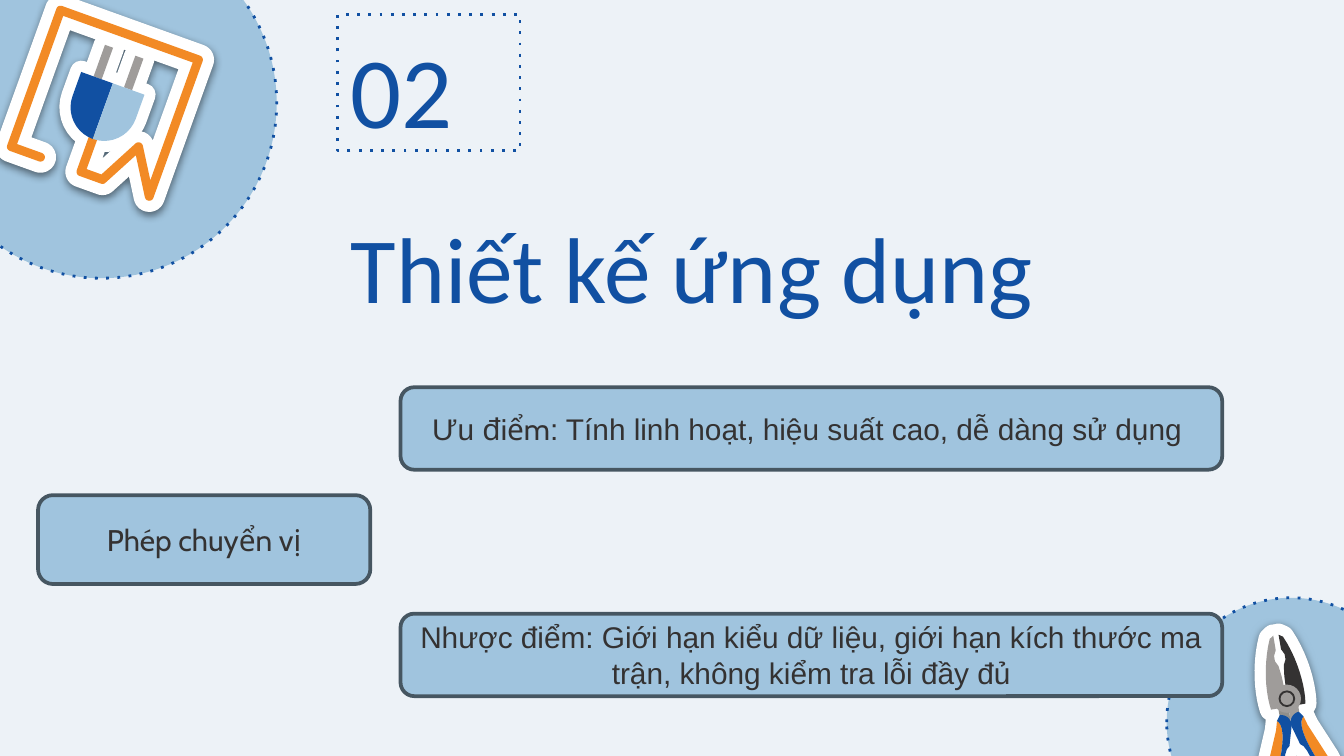
"""Build the section slide on application design with its tool stickers."""
import math

from lxml import etree
from pptx import Presentation, util as u
from pptx.dml.color import RGBColor
from pptx.enum import dml, shapes, text
from pptx.oxml.ns import qn


class Theme:
    back, sky, blue, slate = "EDF2F7", "A0C4DE", "1150A2", "465661"
    ink, white, orange, grey, dim = "343232", "FFFFFF", "F28A25", "9F9C9A", "908F8B"
    head, label, body = "Calibri", "Cabin", "Arial"
    title, number, small = 50, 54, 16
    dots, edge, rim, ring = 1.5, 2, 12, 1


SIZE = (25.4, 14.29)
STEPS = 10
UNIT = 0.0254

TITLE = ("Thiết kế ứng dụng", (6.38, 3.48, 15.14, 2.87))
NUMBER = ("02", (6.38, 0.28, 3.45, 2.57))
DISCS = [(-1.4, -1.37, 6.63, 6.63), (22.05, 11.3, 4.7, 4.7)]
BOXES = [
    ((0.72, 9.36, 6.28, 1.68), [("Phép chuyển vị", Theme.label)]),
    ((7.57, 7.32, 15.53, 1.56), [
        ("Ưu ", Theme.body), ("điểm", Theme.label),
        (": Tính linh hoạt, hiệu suất cao, dễ dàng sử dụng ", Theme.body)]),
    ((7.57, 11.6, 15.53, 1.56), [
        ("Nhược điểm: Giới hạn kiểu dữ liệu, giới hạn kích thước ma trận, "
         "không kiểm tra lỗi đầy đủ", Theme.body)]),
]

PLUG_AT, PLUG_TILT = (84, 62), 19.8
CABLE = [(-32, 70), (-55, 70), (-55, -38), (54, -38), (54, 70),
         (34, 38), (17, 70), (0, 70), (0, 43)]
CABLE_HALF = 3.3
BODY_HALF, BODY_SIDE = 25, 19
PRONG_X, PRONG_HALF, PRONG_TOP = 12, 3.2, -25

TOOL_AT, TOOL_TILT = (957.5, 520), -9.8
JAW = [(2, -48), (5, -46), ((13, -28), (15, -7), (13, 6)), (0, 6),
       (1, -17), (2, -25), (4, -29), (4, -33), (2, -37)]
ARM = [(0, 6), (7.5, 6), (7.5, 19.5), (0, 20)]
GRIP = [(7, 11), (10, 15), ((5, 19), (5, 34), (30, 80)), (25, 84),
        ((20, 85), (16, 83), (15, 78)), ((15, 78), (12, 38), (4, 35)), (0, 21),
        ((-1, 17), (1, 12), (7, 11))]
EDGE = [(10, 15), (12, 22), (23, 48), (30, 73), (30, 80),
        ((5, 34), (5, 19), (10, 15))]
HUB, BOLT = 10.5, 5.5


def cm(vals, unit=1):
    return [u.Cm(v * unit) for v in vals]


def polar(spot, size, angle):
    return spot[0] + size * math.cos(angle), spot[1] + size * math.sin(angle)


def trace(route):
    """Turn a route of points and three-point curves into plain points."""
    dots = []
    for step in route:
        if not isinstance(step[0], tuple):
            dots.append(step)
            continue
        knots = (dots[-1], *step)
        for k in range(1, STEPS + 1):
            t = k / STEPS
            mix = [math.comb(3, i) * t ** i * (1 - t) ** (3 - i) for i in range(4)]
            dots.append(tuple(sum(m * p[i] for m, p in zip(mix, knots))
                              for i in (0, 1)))
    return dots


def flip(dots):
    return [(-x, y) for x, y in dots]


def band(route, half):
    """Outline a thick line with round corners by walking there and back."""
    loop = route + route[-2:0:-1]
    dots = []
    for i, spot in enumerate(loop):
        last, then = loop[i - 1], loop[(i + 1) % len(loop)]
        start = math.atan2(spot[1] - last[1], spot[0] - last[0])
        end = math.atan2(then[1] - spot[1], then[0] - spot[0])
        turn = (end - start + math.pi) % math.tau - math.pi
        if turn > 3:
            turn -= math.tau
        side = start + math.pi / 2
        if turn < 0:
            dots += [polar(spot, half, side + turn * k / STEPS)
                     for k in range(STEPS + 1)]
        else:
            dots.append(polar(spot, half / math.cos(turn / 2), side + turn / 2))
    return dots


def place(dots, spot, tilt):
    a = math.radians(tilt)
    return [cm((spot[0] + x * math.cos(a) - y * math.sin(a),
                spot[1] + x * math.sin(a) + y * math.cos(a)), UNIT)
            for x, y in dots]


def style(shape, fill=None, line=None, width=Theme.dots, dots=False):
    shape.shadow.inherit = False
    for part, tone in ((shape.fill, fill), (shape.line.fill, line)):
        if tone:
            part.solid()
            part.fore_color.rgb = RGBColor.from_string(tone)
        else:
            part.background()
    if line:
        shape.line.width = u.Pt(width)
    if dots:
        shape.line.dash_style = dml.MSO_LINE.ROUND_DOT
        shape._element.xpath(".//a:prstDash")[0].set("val", "dot")
    return shape


def write(shape, runs, size, tone, align=text.PP_ALIGN.LEFT,
          anchor=text.MSO_ANCHOR.MIDDLE, pad=None):
    frame = shape.text_frame
    frame.word_wrap, frame.auto_size = True, text.MSO_AUTO_SIZE.NONE
    frame.vertical_anchor = anchor
    if pad:
        frame.margin_left = frame.margin_right = u.Cm(pad)
        frame.margin_top = frame.margin_bottom = u.Cm(pad)
    para = frame.paragraphs[0]
    para.alignment = align
    for words, face in runs:
        run = para.add_run()
        run.text = words
        run.font.name, run.font.size = face, u.Pt(size)
        run.font.color.rgb = RGBColor.from_string(tone)


def cast(shape):
    glow = etree.SubElement(shape._element.spPr.find(qn("a:effectLst")),
                            qn("a:outerShdw"), blurRad=str(u.Pt(4.5)),
                            dist=str(u.Pt(1.5)), dir="5400000")
    tone = etree.SubElement(glow, qn("a:srgbClr"), val="000000")
    etree.SubElement(tone, qn("a:alpha"), val="50000")


def draw(group, outlines):
    pen = group.shapes.build_freeform(*outlines[0][0], scale=1.0)
    for i, dots in enumerate(outlines):
        if i:
            pen.move_to(*dots[0])
        pen.add_line_segments(dots[1:], close=True)
    return pen.convert_to_shape()


def sticker(slide, parts, spot, tilt):
    """Draw coloured parts over one white, shadowed rim around them all."""
    group = slide.shapes.add_group_shape()
    placed = [(tone, place(dots, spot, tilt)) for tone, dots in parts]
    rim = draw(group, [dots for tone, dots in placed])
    cast(style(rim, Theme.white, Theme.white, Theme.rim))
    for tone, dots in placed:
        style(draw(group, [dots]), tone)
    return group


def plug():
    arc = [polar((0, BODY_SIDE), BODY_HALF, math.pi / 2 * k / STEPS)
           for k in range(STEPS + 1)]
    half = [(0, 0), (BODY_HALF, 0)] + arc
    left, right = PRONG_X - PRONG_HALF, PRONG_X + PRONG_HALF
    prong = [(left, 0), (left, PRONG_TOP), (right, PRONG_TOP), (right, 0)]
    return [(Theme.orange, band(CABLE, CABLE_HALF)),
            (Theme.grey, flip(prong)), (Theme.grey, prong),
            (Theme.blue, flip(half)), (Theme.sky, half)]


def pliers():
    pairs = [(ARM, Theme.dim, Theme.grey), (JAW, Theme.grey, Theme.ink),
             (EDGE, Theme.orange, Theme.orange), (GRIP, Theme.blue, Theme.blue)]
    parts = []
    for route, left, right in pairs:
        dots = trace(route)
        parts += [(left, flip(dots)), (right, dots)]
    return parts


def main():
    deck = Presentation()
    deck.slide_width, deck.slide_height = cm(SIZE)
    slide = deck.slides.add_slide(deck.slide_layouts[5])
    style_back = slide.background.fill
    style_back.solid()
    style_back.fore_color.rgb = RGBColor.from_string(Theme.back)
    kind, add, anchor = shapes.MSO_SHAPE, slide.shapes.add_shape, text.MSO_ANCHOR
    for spot in DISCS:
        style(add(kind.OVAL, *cm(spot)), Theme.sky, Theme.blue, dots=True)
    words, spot = TITLE
    title = slide.shapes.title
    title.left, title.top, title.width, title.height = cm(spot)
    write(title, [(words, Theme.head)], Theme.title, Theme.blue,
          anchor=anchor.BOTTOM, pad=0.25)
    words, spot = NUMBER
    badge = style(add(kind.RECTANGLE, *cm(spot)), Theme.back, Theme.blue, dots=True)
    write(badge, [(words, Theme.head)], Theme.number, Theme.blue,
          anchor=anchor.TOP, pad=0.25)
    sticker(slide, plug(), PLUG_AT, PLUG_TILT)
    tool = sticker(slide, pliers(), TOOL_AT, TOOL_TILT)
    for r, fill, line in ((HUB, Theme.grey, None), (BOLT, None, Theme.ink)):
        spot = (TOOL_AT[0] - r, TOOL_AT[1] - r, 2 * r, 2 * r)
        style(tool.shapes.add_shape(kind.OVAL, *cm(spot, UNIT)), fill, line, Theme.ring)
    for spot, runs in BOXES:
        box = style(add(kind.ROUNDED_RECTANGLE, *cm(spot)), Theme.sky,
                    Theme.slate, Theme.edge)
        write(box, runs, Theme.small, Theme.ink, text.PP_ALIGN.CENTER)
    deck.save("out.pptx")


if __name__ == "__main__":
    main()
